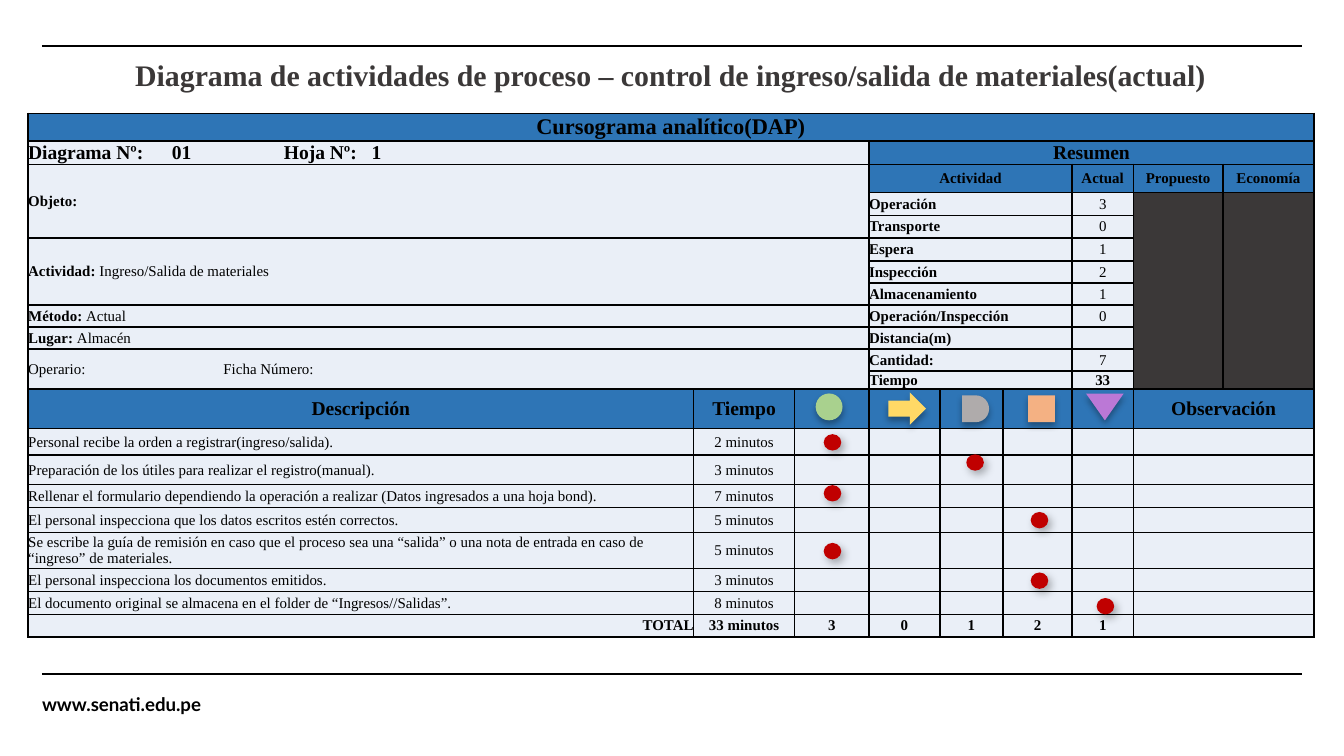
from lxml import etree
from pptx import Presentation
from pptx.dml.color import RGBColor
from pptx.enum.shapes import MSO_CONNECTOR, MSO_SHAPE
from pptx.enum.text import MSO_ANCHOR, PP_ALIGN
from pptx.oxml.ns import qn
from pptx.util import Pt

LEFT, CENTER, RIGHT = PP_ALIGN.LEFT, PP_ALIGN.CENTER, PP_ALIGN.RIGHT
MIDDLE = MSO_ANCHOR.MIDDLE
ELLIPSE, ARROW, DELAY = MSO_SHAPE.OVAL, MSO_SHAPE.RIGHT_ARROW, MSO_SHAPE.FLOWCHART_DELAY
SQUARE, TRIANGLE = MSO_SHAPE.RECTANGLE, MSO_SHAPE.ISOSCELES_TRIANGLE
STRAIGHT = MSO_CONNECTOR.STRAIGHT

SERIF = "Times New Roman"
BLACK, DARK, BLUE, PALE, RED = "000000", "3B3838", "2E75B6", "EAEFF7", "C00000"

COLUMN_WIDTHS = [356.5, 54.1, 39.9, 38, 33.8, 37, 32.9, 47.9, 48.8]
ROW_HEIGHTS = [14.7, 12.6, 15, 12.3, 12.3, 12.3, *[11.8] * 5, 9.6,
               21.2, 14.2, 15.8, 12.3, 13.4, 19.3, 12.3, 12.3, 12.3]
HEADER_ROW, TOTAL_ROW = 12, 20

SUMMARY = [("Operación", "3"), ("Transporte", "0"), ("Espera", "1"), ("Inspección", "2"),
           ("Almacenamiento", "1"), ("Operación/Inspección", "0"), ("Distancia(m)", ""),
           ("Cantidad:", "7")]
STEPS = [
    ("Personal recibe la orden a registrar(ingreso/salida).", "2 minutos"),
    ("Preparación de los útiles para realizar el registro(manual).", "3 minutos"),
    ("Rellenar el formulario dependiendo la operación a realizar "
     "(Datos ingresados a una hoja bond).", "7 minutos"),
    ("El personal inspecciona que los datos escritos estén correctos.", "5 minutos"),
    ("Se escribe la guía de remisión en caso que el proceso sea una “salida” o una nota "
     "de entrada en caso de “ingreso” de materiales.", "5 minutos"),
    ("El personal inspecciona los documentos emitidos.", "3 minutos"),
    ("El documento original se almacena en el folder de “Ingresos//Salidas”.", "8 minutos"),
]
TOTALS = ["33 minutos", "3", "0", "1", "2", "1"]

# Kind, colour, then left, top, width and height relative to the table
SYMBOLS = [
    (ELLIPSE, "A9D18E", 421.9, 150, 14.4, 14.4),
    (ARROW, "FFD966", 460.8, 149.5, 20.2, 17.3),
    (DELAY, "AFABAB", 500.4, 151, 14.4, 14.4),
    (SQUARE, "F4B183", 535.7, 151, 14.4, 14.4),
    (TRIANGLE, "BB78D6", 566.7, 150, 20.2, 14.4),
]
OPERATION, WAIT, INSPECTION, STORAGE = 426.2, 502.6, 537.1, 572.4
STEP_MARKS = [(OPERATION, 171.8), (WAIT, 182.6), (OPERATION, 199.1), (INSPECTION, 213.5),
              (OPERATION, 230.1), (INSPECTION, 245.9), (STORAGE, 259.6)]


def color(value):
    return RGBColor.from_string(value)


def set_font(paragraph, name, size, hex_color, bold):
    font = paragraph.font
    font.name, font.size, font.bold = name, Pt(size), bold
    font.color.rgb = color(hex_color)


def add_rule(slide, left, top, width):
    rule = slide.shapes.add_connector(STRAIGHT, Pt(left), Pt(top), Pt(left + width), Pt(top))
    rule.line.color.rgb = color(BLACK)
    rule.line.width = Pt(1)
    etree.SubElement(rule._element.spPr, qn("a:effectLst"))


def add_text(slide, box, text, name, size, hex_color, align):
    frame = slide.shapes.add_textbox(*map(Pt, box)).text_frame
    frame.word_wrap = True
    paragraph = frame.paragraphs[0]
    paragraph.text, paragraph.alignment = text, align
    set_font(paragraph, name, size, hex_color, True)
    return frame


def add_frame(slide, left, top, width, height):
    """Rules above and below the content, with the web address under them."""
    add_rule(slide, left, top, width)
    add_rule(slide, left, top + height, width)
    address = add_text(slide, (left, top + height + 12.2, 110, 9.4),
                       "www.senati.edu.pe", "Lato", 10, BLACK, LEFT)
    address.margin_left = address.margin_right = address.margin_top = address.margin_bottom = 0
    address.paragraphs[0].line_spacing = 0.8


def style_cell(cell, fill):
    cell.margin_left = cell.margin_right = cell.margin_top = cell.margin_bottom = 0
    cell.vertical_anchor = MIDDLE
    properties = cell._tc.get_or_add_tcPr()
    for side in ("lnL", "lnR", "lnT", "lnB"):
        border = etree.SubElement(properties, qn(f"a:{side}"), w=str(Pt(1)))
        paint = etree.SubElement(border, qn("a:solidFill"))
        etree.SubElement(paint, qn("a:srgbClr"), val=BLACK)
    cell.fill.solid()
    cell.fill.fore_color.rgb = color(fill)


def write(cell, label="", value="", size=8, align=LEFT, tabs=()):
    """Puts a bold label and a regular value in one paragraph."""
    paragraph = cell.text_frame.paragraphs[0]
    paragraph.alignment = align
    if tabs:
        stops = etree.SubElement(paragraph._p.get_or_add_pPr(), qn("a:tabLst"))
        for stop in tabs:
            etree.SubElement(stops, qn("a:tab"), pos=str(Pt(stop)), algn="l")
    set_font(paragraph, SERIF, size, BLACK, bool(label))
    for text, bold in ((label, True), (value, False)):
        if text:
            run = paragraph.add_run()
            run.text = text
            if label and value:
                run.font.bold = bold


def fill_general_data(table):
    write(table.cell(0, 0), "Cursograma analítico(DAP)", size=12, align=CENTER)
    write(table.cell(1, 0), "Diagrama Nº:\t01\tHoja Nº:\t1", size=10.5, tabs=(77, 137, 184))
    write(table.cell(2, 0), "Objeto:")
    write(table.cell(5, 0), "Actividad: ", "Ingreso/Salida de materiales")
    write(table.cell(8, 0), "Método: ", "Actual")
    write(table.cell(9, 0), "Lugar: ", "Almacén")
    write(table.cell(10, 0), value="Operario:\tFicha Número:", tabs=(104.6,))


def fill_summary(table):
    write(table.cell(1, 3), "Resumen", size=10.5, align=CENTER)
    for column, heading in zip((3, 6, 7, 8), ("Actividad", "Actual", "Propuesto", "Economía")):
        write(table.cell(2, column), heading, align=CENTER)
    for row, (activity, count) in enumerate(SUMMARY, 3):
        write(table.cell(row, 3), activity)
        write(table.cell(row, 6), value=count, align=CENTER)
    write(table.cell(11, 3), "Tiempo")
    write(table.cell(11, 6), "33", align=CENTER)


def fill_steps(table):
    for column, heading in zip((0, 1, 7), ("Descripción", "Tiempo", "Observación")):
        write(table.cell(HEADER_ROW, column), heading, size=10.5, align=CENTER)
    for row, (description, time) in enumerate(STEPS, HEADER_ROW + 1):
        write(table.cell(row, 0), value=description)
        write(table.cell(row, 1), value=time, align=CENTER)
    write(table.cell(TOTAL_ROW, 0), "TOTAL", align=RIGHT)
    for column, total in enumerate(TOTALS, 1):
        write(table.cell(TOTAL_ROW, column), total, align=CENTER)


def cell_fill(row, column):
    if row in (0, HEADER_ROW) or (row in (1, 2) and column > 2):
        return BLUE
    return DARK if 2 < row < HEADER_ROW and column > 6 else PALE


def add_process_table(slide, left, top):
    table = slide.shapes.add_table(
        len(ROW_HEIGHTS), len(COLUMN_WIDTHS), Pt(left), Pt(top),
        Pt(sum(COLUMN_WIDTHS)), Pt(sum(ROW_HEIGHTS))).table
    table.first_row = table.horz_banding = False
    for column, width in zip(table.columns, COLUMN_WIDTHS):
        column.width = Pt(width)
    for row, height in zip(table.rows, ROW_HEIGHTS):
        row.height = Pt(height)
    for row in range(len(ROW_HEIGHTS)):
        for column in range(len(COLUMN_WIDTHS)):
            style_cell(table.cell(row, column), cell_fill(row, column))

    spans = [(0, 0, 0, 8), (1, 0, 1, 2), (1, 3, 1, 8), (2, 0, 4, 2), (5, 0, 7, 2),
             (8, 0, 8, 2), (9, 0, 9, 2), (10, 0, 11, 2), (3, 7, 11, 7), (3, 8, 11, 8)]
    spans += [(row, 3, row, 5) for row in range(2, HEADER_ROW)]
    spans += [(row, 7, row, 8) for row in range(HEADER_ROW, TOTAL_ROW + 1)]
    for first_row, first_column, last_row, last_column in spans:
        table.cell(first_row, first_column).merge(table.cell(last_row, last_column))

    fill_general_data(table)
    fill_summary(table)
    fill_steps(table)
    # Empty cells need a small end mark, or their rows grow
    for cell in table.iter_cells():
        if not cell.text:
            etree.SubElement(cell.text_frame.paragraphs[0]._p, qn("a:endParaRPr"), sz="800")


def add_mark(slide, kind, fill, box, blur, distance, angle, opacity):
    mark = slide.shapes.add_shape(kind, *map(Pt, box))
    mark.fill.solid()
    mark.fill.fore_color.rgb = color(fill)
    mark.line.fill.background()
    effects = etree.SubElement(mark._element.spPr, qn("a:effectLst"))
    shadow = etree.SubElement(effects, qn("a:outerShdw"), blurRad=str(Pt(blur)),
                              dist=str(Pt(distance)), dir=str(angle * 60000), rotWithShape="0")
    tint = etree.SubElement(shadow, qn("a:srgbClr"), val=BLACK)
    etree.SubElement(tint, qn("a:alpha"), val=str(opacity * 1000))
    return mark


def add_activity_marks(slide, left, top):
    for kind, fill, x, y, width, height in SYMBOLS:
        symbol = add_mark(slide, kind, fill, (left + x, top + y, width, height), 3.5, 2.2, 90, 32)
        if kind == TRIANGLE:
            symbol.rotation = 180
    for x, y in STEP_MARKS:
        add_mark(slide, ELLIPSE, RED, (left + x, top + y, 9.4, 8.8), 4.5, 2.6, 53, 30)


def main():
    deck = Presentation()
    deck.slide_width, deck.slide_height = Pt(720), Pt(405)
    slide = deck.slides.add_slide(deck.slide_layouts[6])
    add_frame(slide, 22.5, 24.5, 675, 336.7)
    add_text(slide, (56.9, 26.6, 604.8, 26.6),
             "Diagrama de actividades de proceso – control de ingreso/salida de materiales(actual)",
             SERIF, 16, DARK, CENTER)
    add_process_table(slide, 15.1, 60.8)
    add_activity_marks(slide, 15.1, 60.8)
    deck.save("out.pptx")


if __name__ == "__main__":
    main()
